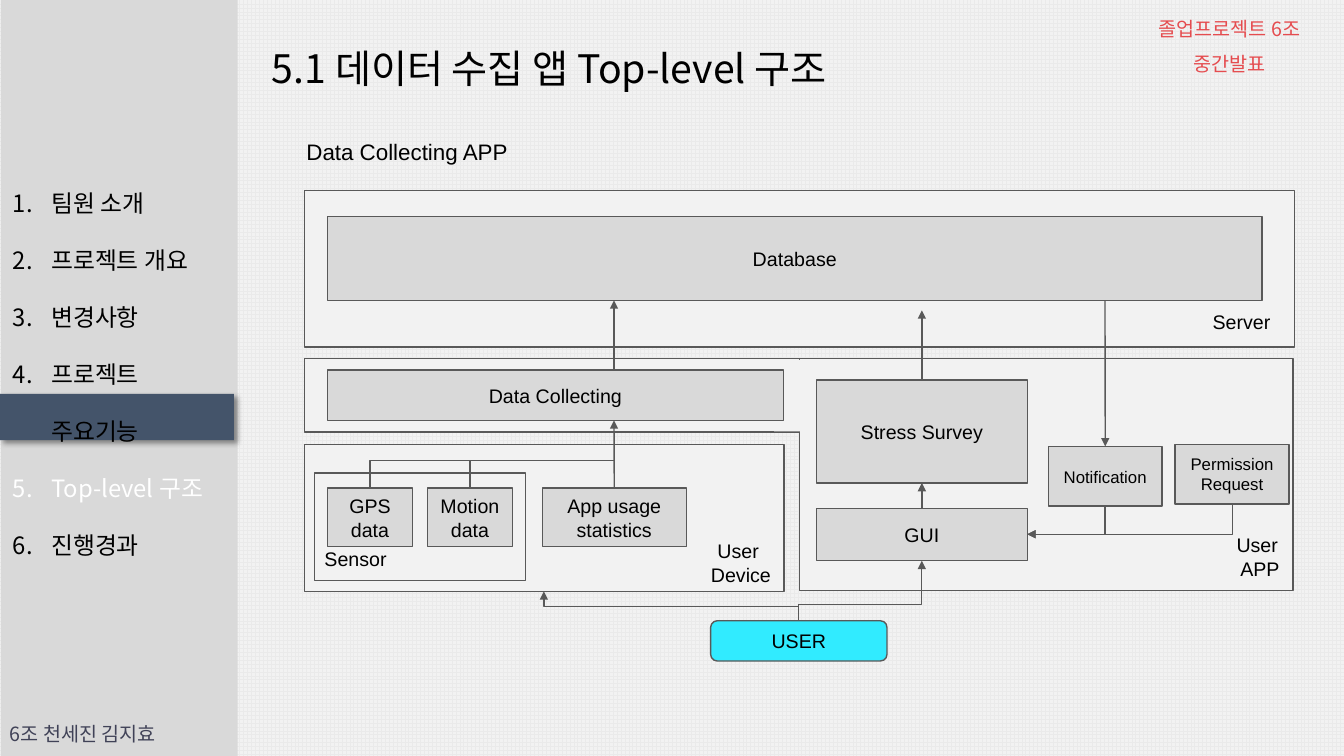
from lxml import etree
from pptx import Presentation
from pptx import util as u
from pptx.dml.color import RGBColor
from pptx.enum import dml, shapes, text
from pptx.oxml.ns import qn

SANS, KOREAN = "Arial", "Noto Sans CJK KR"
BLACK, PALE, GREY, EDGE = "000000", "F2F2F2", "D9D9D9", "595959"
CENTER = text.PP_ALIGN.CENTER


def rgb(code):
    return RGBColor.from_string(code)


def add(parent, tag, **attrs):
    return etree.SubElement(parent, qn(tag), {k: str(v) for k, v in attrs.items()})


class Board:
    """One slide on a grid of 32 columns by 18 rows."""

    def __init__(self, prs):
        self.s = prs.slides.add_slide(prs.slide_layouts[6])
        self.col, self.row = prs.slide_width / 32, prs.slide_height / 18

    def backdrop(self, fore, back):
        fill = self.s.background.fill
        fill.patterned()
        fill.pattern = dml.MSO_PATTERN.LARGE_GRID
        fill.fore_color.rgb, fill.back_color.rgb = rgb(fore), rgb(back)

    def emu(self, *lengths):
        """Turn alternating columns and rows into EMU."""
        return [round(n * (self.row if i % 2 else self.col)) for i, n in enumerate(lengths)]

    def box(self, at, fill=GREY, line=EDGE, lines=(), size=14, rounded=False,
            align=CENTER, anchor=text.MSO_ANCHOR.MIDDLE):
        kind = shapes.MSO_SHAPE.ROUNDED_RECTANGLE if rounded else shapes.MSO_SHAPE.RECTANGLE
        sp = self.s.shapes.add_shape(kind, *self.emu(*at))
        sp.shadow.inherit = False
        if fill:
            sp.fill.solid()
            sp.fill.fore_color.rgb = rgb(fill)
        else:
            sp.fill.background()
        self.outline(sp, line)
        if lines:
            self.set_text(sp, lines, size, align=align, anchor=anchor)
        return sp

    def outline(self, sp, line=EDGE):
        if line:
            sp.line.color.rgb = rgb(line)
            sp.line.width = u.Pt(1)
        else:
            sp.line.fill.background()

    def label(self, at, lines, size=14, **style):
        self.set_text(self.s.shapes.add_textbox(*self.emu(*at)), lines, size, **style)

    def set_text(self, sp, lines, size, font=SANS, color=BLACK, align=None,
                 anchor=text.MSO_ANCHOR.TOP, inset=0.1, leading=None, numbered=False,
                 accents=()):
        """Fill a shape with paragraphs; accents maps a line to its own colour."""
        tf = sp.text_frame
        tf.word_wrap = True
        tf.vertical_anchor = anchor
        tf.margin_left = tf.margin_right = u.Inches(0.1)
        tf.margin_top = tf.margin_bottom = u.Inches(inset)
        for i, line in enumerate(lines):
            p = tf.add_paragraph() if i else tf.paragraphs[0]
            p.add_run().text = line
            p.alignment = align
            if leading:
                p.line_spacing = u.Pt(leading)
            if numbered:
                pPr = p._p.get_or_add_pPr()
                pPr.set("marL", str(u.Inches(0.38)))
                pPr.set("indent", str(u.Inches(-0.38)))
                add(pPr, "a:buAutoNum", type="arabicPeriod")
            p.font.size = u.Pt(size)
            p.font.color.rgb = rgb(dict(accents).get(line, color))
            p.font.name = font
            add(p.font._element, "a:ea", typeface=font)

    def arrow(self, start, end, source=None, target=None):
        """Straight arrow; source and target are (shape, side) pairs to join."""
        cx = self.s.shapes.add_connector(
            shapes.MSO_CONNECTOR.STRAIGHT, *self.emu(*start, *end))
        if source:
            cx.begin_connect(*source)
        if target:
            cx.end_connect(*target)
        self.outline(cx)
        self.tip(cx)
        add(cx._element.spPr, "a:effectLst")

    def route(self, *points, tip=True):
        """Open right-angled line through the points."""
        first, *rest = [self.emu(*p) for p in points]
        pen = self.s.shapes.build_freeform(*first)
        pen.add_line_segments(rest, close=False)
        sp = pen.convert_to_shape()
        sp.fill.background()
        self.outline(sp)
        if tip:
            self.tip(sp)
        sp.shadow.inherit = False

    def tip(self, sp):
        add(sp.line._get_or_add_ln(), "a:tailEnd", type="triangle")

    def cast_shadow(self, sp):
        effects = sp._element.spPr.find(qn("a:effectLst"))
        shadow = add(effects, "a:outerShdw", blurRad=u.Pt(4), dist=u.Pt(3),
                     dir=45 * 60000, algn="tl", rotWithShape=0)
        add(add(shadow, "a:srgbClr", val=BLACK), "a:alpha", val=40000)


def draw_frame(b):
    b.box((0.02, 0, 5.64, 18), line=None)
    small = dict(font=KOREAN, inset=0.05, leading=25.2)
    b.label((0, 16.8, 4.68, 1), ["6조 천세진 김지효"], color="404257", **small)
    b.label((6.24, 0.94, 13.7, 1.37), ["5.1 데이터 수집 앱 Top-level 구조"], 28,
            font=KOREAN, inset=0.05, leading=33.6)
    b.label((26.5, 0, 5.54, 1), ["졸업프로젝트 6조 중간발표"], color="E54C4F",
            align=CENTER, **small)
    b.cast_shadow(b.box((0, 9.38, 5.57, 1.1), "44546A", None))
    b.label((0.07, 3.69, 5.57, 8.3),
            ["팀원 소개", "프로젝트 개요", "변경사항", "프로젝트 주요기능", "Top-level 구조", "진행경과"],
            17, font=KOREAN, inset=0.05, leading=40.8, numbered=True,
            accents={"Top-level 구조": "FFFFFF"})


def draw_diagram(b):
    collecting_zone = (7.25, 8.54, 11.95, 1.75)
    app_zone = (19.03, 8.54, 11.76, 5.52)
    device_zone = (7.25, 10.58, 11.42, 3.5)
    server_zone = (7.25, 4.54, 23.57, 3.72)
    for zone in (collecting_zone, app_zone, device_zone, server_zone):
        b.box(zone, PALE)
    b.box((18.43, 8.57, 0.67, 1.7), PALE, None)  # opens the wall between two zones
    b.box((7.49, 11.26, 5.02, 2.57), None, lines=["Sensor"],
          align=None, anchor=text.MSO_ANCHOR.BOTTOM)

    b.label((7.06, 3.05, 6.26, 0.96), ["Data Collecting APP"], 16)
    b.label((28.8, 12.46, 2.4, 1.58), ["User ", "APP"], align=CENTER)
    b.label((16.44, 12.6, 2.4, 1.58), ["User ", "Device"], align=CENTER)
    b.label((28.18, 7.15, 2.76, 0.96), ["Server"], align=CENTER)

    b.box((7.8, 5.16, 22.25, 1.99), lines=["Database"])
    b.box((7.8, 8.81, 10.85, 1.2), lines=["Data Collecting"])
    survey = b.box((19.44, 9.05, 5.02, 2.45), lines=["Stress Survey"])
    gui = b.box((19.44, 12.1, 5.02, 1.25), lines=["GUI"])
    notification = b.box((24.96, 10.63, 2.71, 1.42), lines=["Notification"], size=12)
    b.box((27.98, 10.58, 2.71, 1.42), lines=["Permission Request"], size=12)
    b.box((7.8, 11.62, 2.02, 1.4), lines=["GPS", "data"])
    b.box((10.18, 11.62, 2.02, 1.4), lines=["Motion", "data"])
    usage = b.box((12.91, 11.62, 3.43, 1.4), lines=["App usage", "statistics"])
    b.box((16.92, 14.78, 4.2, 0.96), "31EBFF", lines=["USER"], rounded=True)

    usage_x, survey_x, notice_x, user_x = 14.62, 21.95, 26.31, 19.02
    b.arrow((usage_x, 11.62), (usage_x, 10.01), source=(usage, 0))
    b.arrow((usage_x, 8.81), (usage_x, 7.15))
    b.arrow((survey_x, 9.05), (survey_x, 7.39), source=(survey, 0))
    b.arrow((survey_x, 12.1), (survey_x, 11.5), source=(gui, 0), target=(survey, 2))
    b.arrow((notice_x, 7.15), (notice_x, 10.63), target=(notification, 0))
    for sensor_x in (8.81, 11.19):
        b.route((sensor_x, 11.62), (sensor_x, 10.97), (usage_x, 10.97), tip=False)
    for x, bottom in ((notice_x, 12.05), (29.34, 12)):
        b.route((x, bottom), (x, 12.72), (24.46, 12.72))
    for x, bend, end in ((12.95, 14.44, 14.08), (survey_x, 14.4, 13.35)):
        b.route((user_x, 14.78), (user_x, bend), (x, bend), (x, end))


def main():
    prs = Presentation()
    prs.slide_width, prs.slide_height = u.Inches(13.33), u.Inches(7.5)
    board = Board(prs)
    board.backdrop("EAEAEA", PALE)
    draw_frame(board)
    draw_diagram(board)
    prs.save("out.pptx")


if __name__ == "__main__":
    main()
